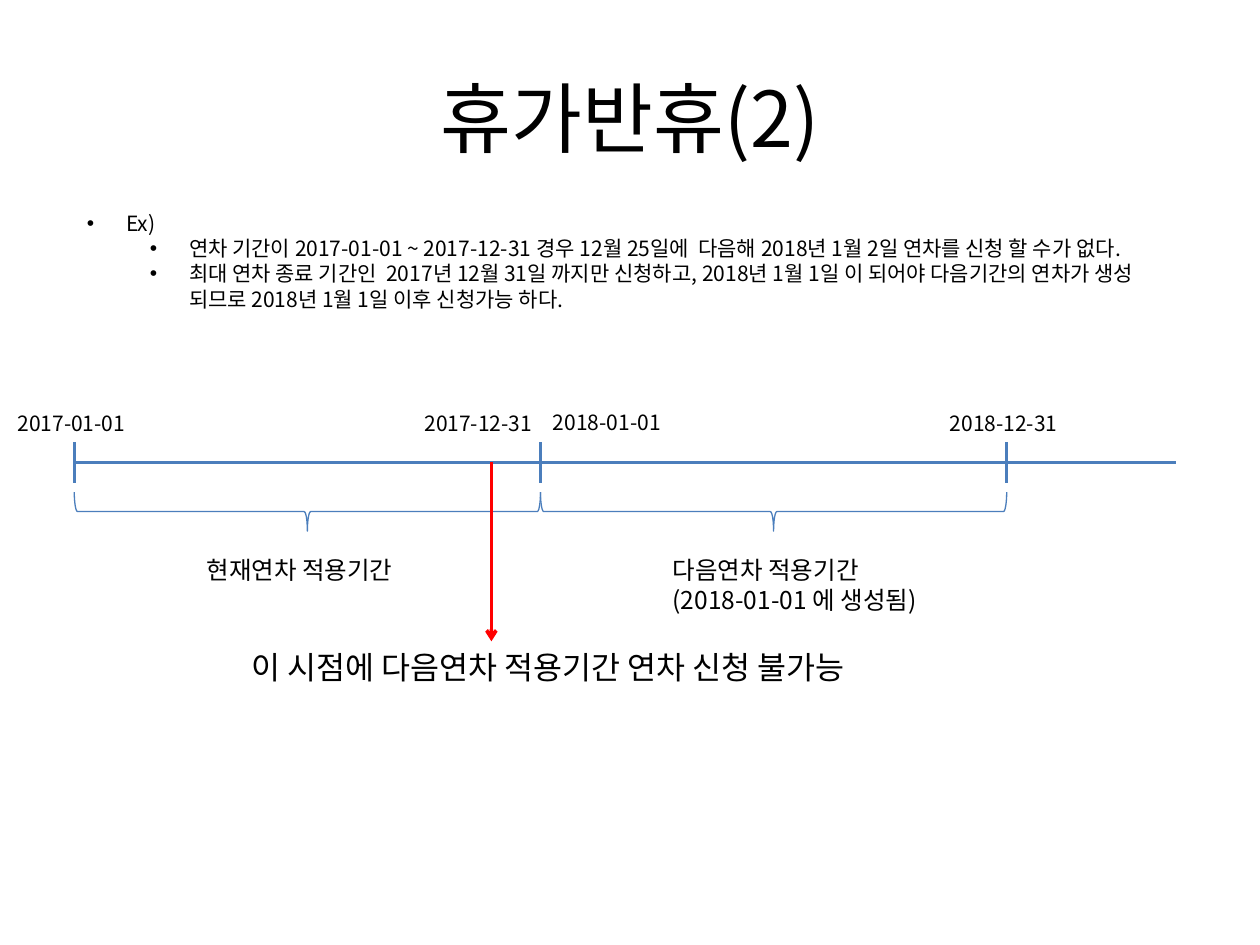
from pptx import Presentation
from pptx.dml.color import RGBColor
from pptx.enum.shapes import MSO_CONNECTOR as Link, MSO_SHAPE as Shape
from pptx.enum.text import MSO_ANCHOR as Anchor, MSO_AUTO_SIZE as Fit, PP_ALIGN as Align
from pptx.oxml.ns import qn
from pptx.util import Inches, Pt
from lxml.etree import SubElement

# Content
FONT, BLUE, RED, BLACK = "Noto Sans CJK KR", "4B7EBC", "FF0000", "000000"
TITLE = "휴가반휴(2)"
NOTES = [
    (0, "Ex)"),
    (1, "연차 기간이 2017-01-01 ~ 2017-12-31 경우 12월 25일에  다음해 2018년 1월 2일 연차를 신청 할 수가 없다."),
    (1, "최대 연차 종료 기간인  2017년 12월 31일 까지만 신청하고, 2018년 1월 1일 이 되어야 "
        "다음기간의 연차가 생성 되므로 2018년 1월 1일 이후 신청가능 하다."),
]
DATES = [("2017-01-01", 0.04, 3.21), ("2017-12-31", 3.27, 3.21),
         ("2018-01-01", 4.29, 3.2), ("2018-12-31", 7.44, 3.21)]
TERMS = [(["현재연차 적용기간"], 1.54, 1.89, 0.34),
         (["다음연차 적용기간", "(2018-01-01 에 생성됨)"], 5.24, 2.2, 0.57)]
ALERT = "이 시점에 다음연차 적용기간 연차 신청 불가능"

# Timeline measures
START, YEAR, END, AXIS = 0.59, 3.7, 9.33, 3.67
TICK, DEEP, MID, NOW, TIP = 0.16, 0.31, 4.06, 3.9, 5.09

deck = Presentation()
deck.slide_width, deck.slide_height = Inches(10), Inches(7.5)
slide = deck.slides.add_slide(deck.slide_layouts[1])
shapes = slide.shapes


def color(code):
    return RGBColor.from_string(code)


def place(shape, *box):
    shape.left, shape.top, shape.width, shape.height = map(Inches, box)


def write(para, text, size=12, align=None, level=0, bullet=False):
    run = para.add_run()
    run.text = text
    run.font.size, run.font.name = Pt(size), FONT
    run.font.color.rgb = color(BLACK)
    SubElement(run._r.get_or_add_rPr(), qn("a:ea")).set("typeface", FONT)
    para.alignment, para.level = align, level
    para.space_before = Pt(0)
    if bullet:
        props = para._p.get_or_add_pPr()
        props.set("marL", str(Inches(0.31 + level * 0.5)))
        props.set("indent", str(Inches(-0.31)))
        SubElement(props, qn("a:buFont")).set("typeface", "Arial")
        SubElement(props, qn("a:buChar")).set("char", "•")


def label(lines, *box, size=12, wrap=True):
    frame = shapes.add_textbox(*map(Inches, box)).text_frame
    frame.word_wrap, frame.auto_size = wrap, Fit.SHAPE_TO_FIT_TEXT
    for i, line in enumerate(lines):
        write(frame.add_paragraph() if i else frame.paragraphs[0], line, size=size)


def rule(x1, y1, x2, y2, ink=BLUE, arrow=False):
    line = shapes.add_connector(Link.STRAIGHT, *map(Inches, (x1, y1, x2, y2)))
    line.line.color.rgb, line.line.width = color(ink), Pt(2)
    if arrow:
        SubElement(line.line._get_or_add_ln(), qn("a:tailEnd")).set("type", "arrow")
    SubElement(line._element.spPr, qn("a:effectLst"))


# Title and list
title, body = slide.placeholders
place(title, 0.5, 0.3, 9, 1.25)
title.text_frame.vertical_anchor = Anchor.MIDDLE
write(title.text_frame.paragraphs[0], TITLE, size=44, align=Align.CENTER)

place(body, 0.59, 1.62, 8.98, 1.11)
frame = body.text_frame
frame.word_wrap, frame.auto_size = True, Fit.SHAPE_TO_FIT_TEXT
for i, (level, text) in enumerate(NOTES):
    para = frame.add_paragraph() if i else frame.paragraphs[0]
    write(para, text, level=level, bullet=True)

# Axis, year ticks and dates
rule(START, AXIS, END, AXIS)
for i in range(3):
    x = START + i * YEAR
    rule(x, AXIS - TICK, x, AXIS + TICK)
for date, x, y in DATES:
    label([date], x, y, 1.18, 0.3)

# Year braces, turned to lie below the axis
for i, (lines, x, wide, high) in enumerate(TERMS):
    mid = START + (i + 0.5) * YEAR
    box = (mid - DEEP / 2, MID - YEAR / 2, DEEP, YEAR)
    brace = shapes.add_shape(Shape.LEFT_BRACE, *map(Inches, box))
    brace.rotation = 270
    brace.shadow.inherit = False
    brace.fill.background()
    brace.line.color.rgb, brace.line.width = color(BLUE), Pt(0.75)
    label(lines, x, 4.36, wide, high, size=14)

# Request moment
rule(NOW, AXIS, NOW, TIP, ink=RED, arrow=True)
label([ALERT], 1.9, TIP, 5.53, 0.4, size=18, wrap=False)

deck.save("out.pptx")
